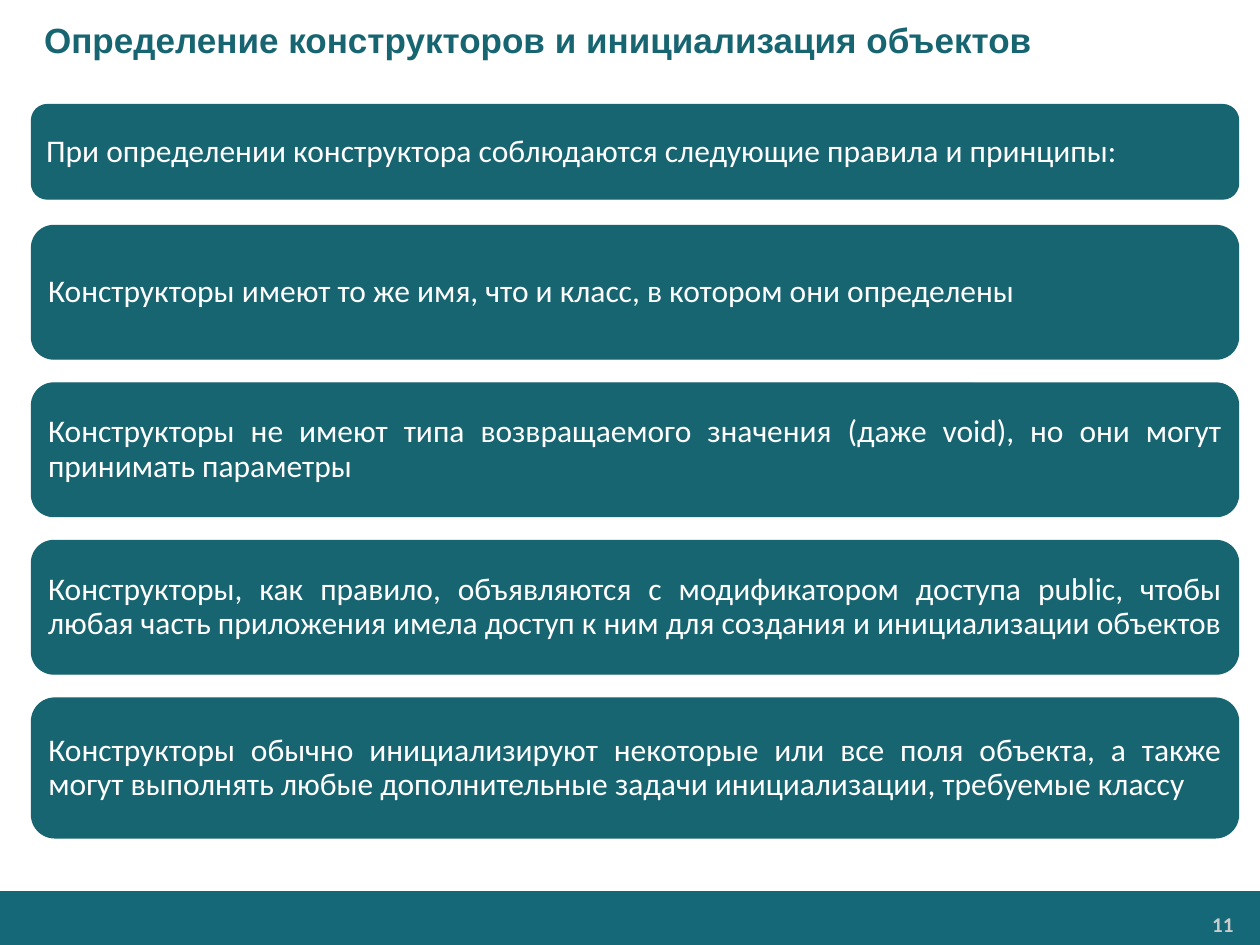
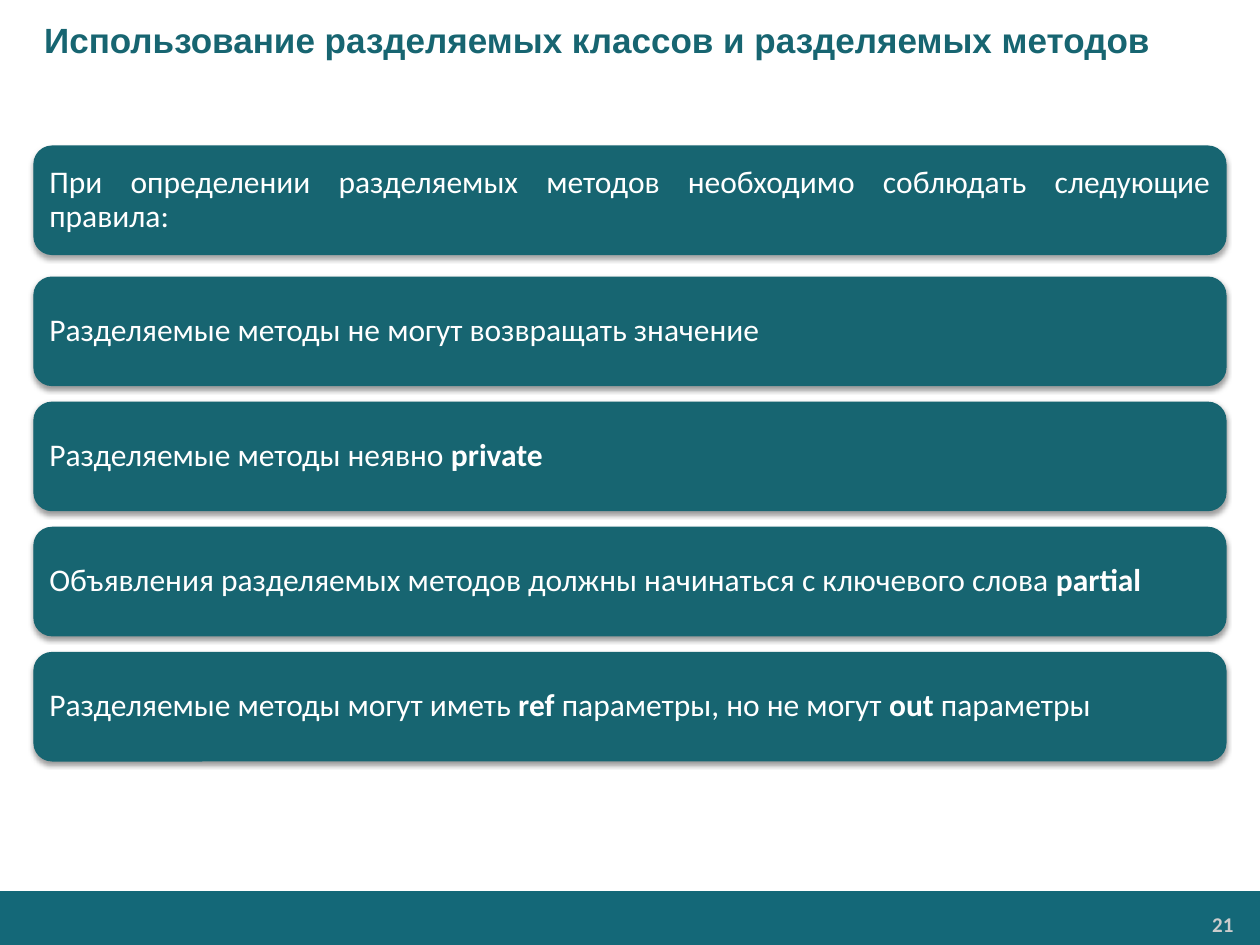
from lxml.etree import SubElement as Sub
from pptx import Presentation as Deck
from pptx.dml.color import RGBColor as Rgb
from pptx.enum.shapes import MSO_SHAPE as Kind
from pptx.enum.text import MSO_ANCHOR as Anchor, PP_ALIGN as Align
from pptx.oxml.ns import qn
from pptx.util import Inches, Pt

HUES = {"card": "176571", "band": "146878", "page": "CCCCCC",
        "text": "FFFFFF", "shade": "000000"}
COLS, ROWS = 100, 75


class Pen:
    """Draws on the current slide; lengths are grid columns and rows."""

    def __init__(self):
        self.deck = Deck()
        self.deck.slide_width, self.deck.slide_height = Inches(10), Inches(7.5)
        self.col = self.deck.slide_width / COLS
        self.row = self.deck.slide_height / ROWS

    def hue(self, name):
        return Rgb.from_string(HUES[name])

    def place(self, x, y, w, h):
        return (int(x * self.col), int(y * self.row),
                int(w * self.col), int(h * self.row))

    def page(self, title, num):
        self.slide = self.deck.slides.add_slide(self.deck.slide_layouts[5])
        self.form(Kind.RECTANGLE, (0, 70.8, COLS, 4.2), "band")
        self.number(num)
        self.title(title)

    def form(self, kind, spot, hue):
        form = self.slide.shapes.add_shape(kind, *self.place(*spot))
        form.shadow.inherit = False
        form.fill.solid()
        form.fill.fore_color.rgb = self.hue(hue)
        form.line.color.rgb = self.hue(hue)
        form.line.width = Pt(0.75)
        return form

    def label(self, frame, text, face, size, hue, align, bold=None):
        """Fill the frame; words between asterisks become bold."""
        frame.word_wrap = True
        frame.vertical_anchor = Anchor.MIDDLE
        para = frame.paragraphs[0]
        para.alignment = align
        font = para.font
        font.name, font.size, font.bold = face, Pt(size), bold
        font.color.rgb = self.hue(hue)
        for i, part in enumerate(text.split("*")):
            if part:
                run = para.add_run()
                run.text = part
                if i % 2:
                    run.font.bold = True
        return para

    def title(self, text):
        head = self.slide.shapes.title
        head.left, head.top, head.width, head.height = self.place(0, 0, COLS, 6.3)
        head.text_frame.margin_left = int(3.5 * self.col)
        self.label(head.text_frame, text, "Arial", 20, "card", Align.LEFT, True)

    def number(self, num):
        box = self.slide.shapes.add_textbox(*self.place(82.3, 71.9, 16.3, 2.8))
        frame = box.text_frame
        frame.margin_left = frame.margin_right = Inches(0.07)
        frame.margin_top = frame.margin_bottom = Inches(0.04)
        self.label(frame, str(num), "Calibri", 12, "page", Align.RIGHT, True)

    def card(self, text, spot, shade):
        card = self.form(Kind.ROUNDED_RECTANGLE, spot, "card")
        frame = card.text_frame
        frame.margin_left = frame.margin_right = Inches(0.08)
        frame.margin_top = frame.margin_bottom = Inches(0.08)
        para = self.label(frame, text, "Calibri", 18, "text", Align.JUSTIFY)
        para.line_spacing = 0.9
        if shade:
            self.shade(card, *shade)

    def shade(self, form, dist, alpha):
        """Cast a soft shadow downwards; dist in points, alpha in percent."""
        glow = form.element.spPr.find(qn("a:effectLst"))
        cast = Sub(glow, qn("a:outerShdw"), blurRad=str(Pt(3.1)),
                   dist=str(Pt(dist)), dir="5400000", rotWithShape="0")
        tint = Sub(cast, qn("a:srgbClr"), val=HUES["shade"])
        Sub(tint, qn("a:alpha"), val=str(alpha * 1000))

    def stack(self, rules, span, top, step, high, last=None, shade=None):
        """Stack cards at an equal step, the last one with its own height.

        The span holds the left edge and the width.
        """
        x, wide = span
        for i, rule in enumerate(rules):
            tall = last if last and i == len(rules) - 1 else high
            self.card(rule, (x, top + i * step, wide, tall), shade)


def main():
    pen = Pen()

    pen.page("Определение конструкторов и инициализация объектов", 11)
    span = 2.5, 95.8
    pen.card("При определении конструктора соблюдаются следующие правила и принципы:",
             (span[0], 8.3, span[1], 7.5), None)
    pen.stack([
        "Конструкторы имеют то же имя, что и класс, в котором они определены",
        "Конструкторы не имеют типа возвращаемого значения (даже void), "
        "но они могут принимать параметры",
        "Конструкторы, как правило, объявляются с модификатором доступа public, "
        "чтобы любая часть приложения имела доступ к ним для создания "
        "и инициализации объектов",
        "Конструкторы обычно инициализируют некоторые или все поля объекта, "
        "а также могут выполнять любые дополнительные задачи инициализации, "
        "требуемые классу",
    ], span, 17.9, 12.5, 10.6, last=11.1)

    pen.page("Использование разделяемых классов и разделяемых методов", 21)
    span = 2.7, 94.6
    pen.card("При определении разделяемых методов необходимо соблюдать следующие правила:",
             (span[0], 11.6, span[1], 8.6), (1.8, 35))
    pen.stack([
        "Разделяемые методы не могут возвращать значение",
        "Разделяемые методы неявно *private*",
        "Объявления разделяемых методов должны начинаться с ключевого слова *partial*",
        "Разделяемые методы могут иметь *ref* параметры, но не могут *out* параметры",
    ], span, 22, 9.93, 8.6, shade=(1.6, 38))

    pen.deck.save("out.pptx")


if __name__ == "__main__":
    main()
